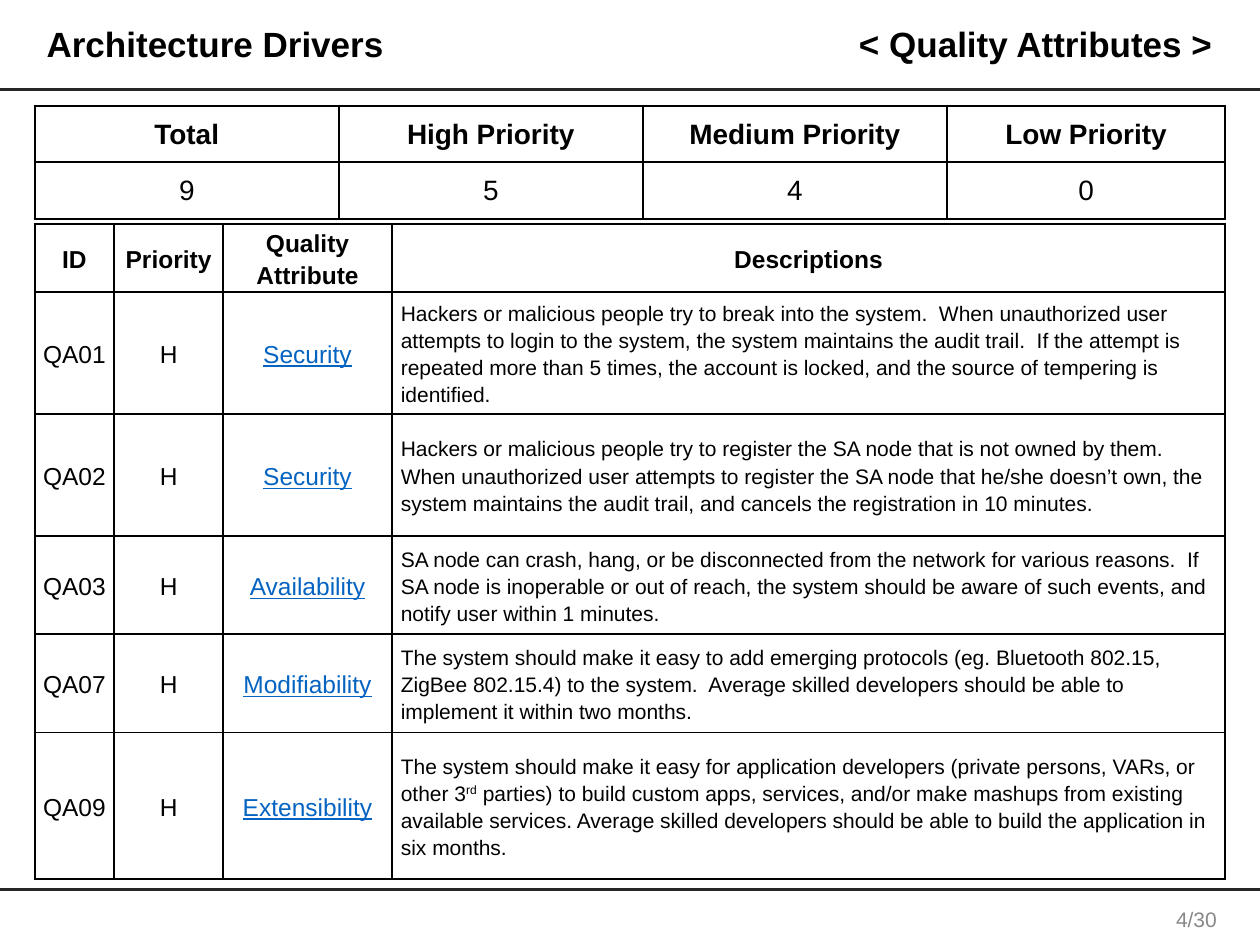
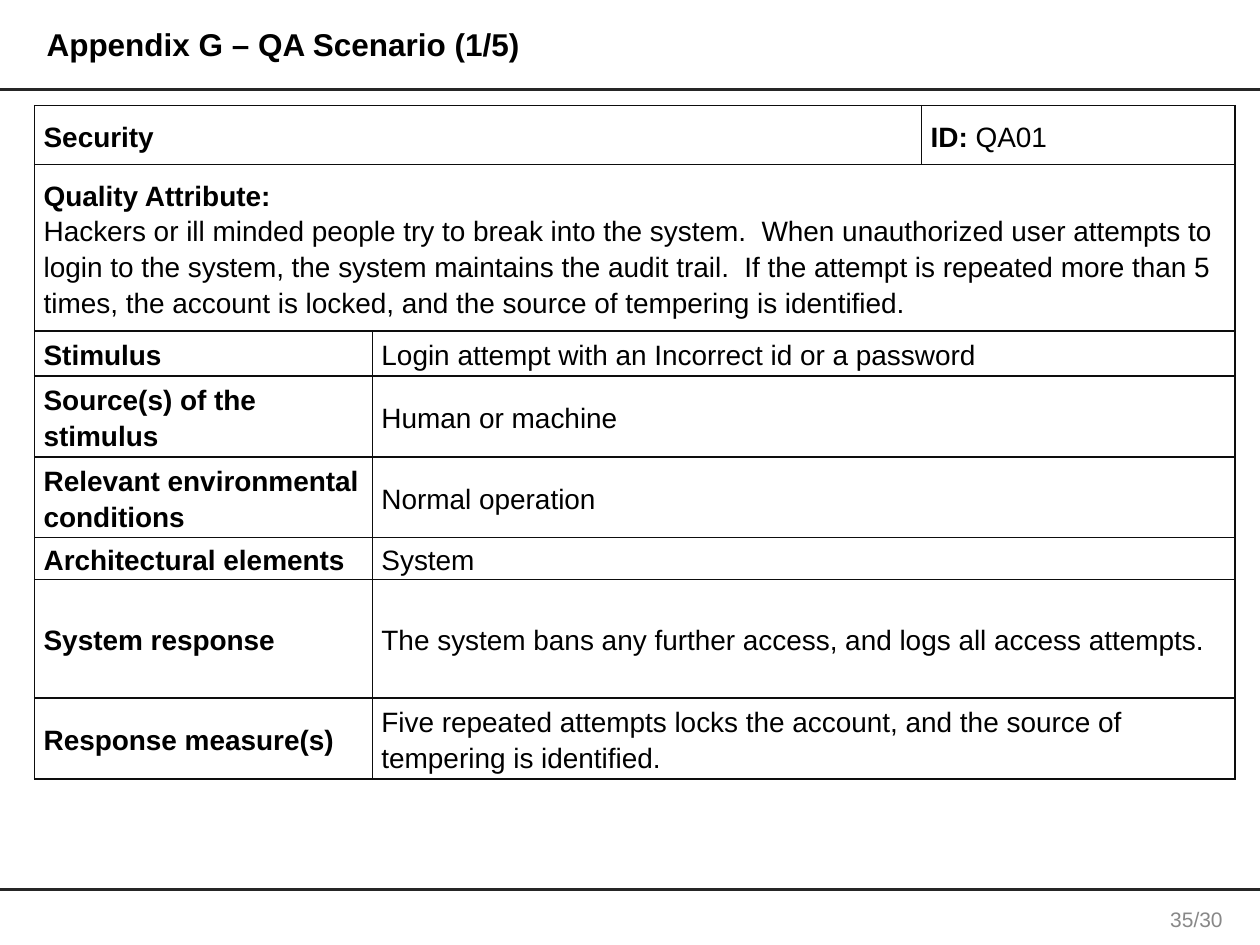
from lxml.etree import SubElement
from pptx import Presentation
from pptx.dml.color import RGBColor
from pptx.enum.shapes import MSO_CONNECTOR as Connector
from pptx.enum.text import MSO_ANCHOR as Anchor, PP_ALIGN as Align
from pptx.oxml.ns import qn
from pptx.util import Cm, Pt

BLACK = RGBColor(0x00, 0x00, 0x00)
WHITE = RGBColor(0xFF, 0xFF, 0xFF)
RULE_GREY = RGBColor(0x26, 0x26, 0x26)
PAGE_GREY = RGBColor(0x88, 0x88, 0x88)
LINK_BLUE = RGBColor(0x05, 0x63, 0xC1)
SCENARIO_BORDER = RGBColor(0x0D, 0x0D, 0x0D)
FONT = "Arial"

SLIDE_WIDTH, SLIDE_HEIGHT = 25.4, 19.05
RULE_TOPS = (1.8, 17.93)
TABLE_LEFT, TABLE_TOP = 0.7, 2.13
DRIVERS_TOP = 4.52
LINE_SPACING = 1.15

DRIVERS_TITLE = "Architecture Drivers"
DRIVERS_SUBTITLE = "< Quality Attributes >"
SUMMARY = [("Total", "High Priority", "Medium Priority", "Low Priority"), ("9", "5", "4", "0")]
SUMMARY_COLUMNS = (6.13, 6.13, 6.13, 5.61)
SUMMARY_ROWS = (1.08, 1.08)

DRIVER_HEADINGS = ("ID", "Priority", "Quality Attribute", "Descriptions")
DRIVERS = [
    ("QA01", "H", "Security",
     "Hackers or malicious people try to break into the system.  When unauthorized user attempts "
     "to login to the system, the system maintains the audit trail.  If the attempt is repeated "
     "more than 5 times, the account is locked, and the source of tempering is identified."),
    ("QA02", "H", "Security",
     "Hackers or malicious people try to register the SA node that is not owned by them.  When "
     "unauthorized user attempts to register the SA node that he/she doesn’t own, the system "
     "maintains the audit trail, and cancels the registration in 10 minutes."),
    ("QA03", "H", "Availability",
     "SA node can crash, hang, or be disconnected from the network for various reasons.  If SA "
     "node is inoperable or out of reach, the system should be aware of such events, and notify "
     "user within 1 minutes."),
    ("QA07", "H", "Modifiability",
     "The system should make it easy to add emerging protocols (eg. Bluetooth 802.15, ZigBee "
     "802.15.4) to the system.  Average skilled developers should be able to implement it within "
     "two months."),
    ("QA09", "H", "Extensibility",
     ("The system should make it easy for application developers (private persons, VARs, or "
      "other 3", "rd",
      " parties) to build custom apps, services, and/or make mashups from existing available "
      "services. Average skilled developers should be able to build the application in six "
      "months.")),
]
DRIVER_COLUMNS = (1.6, 2.2, 3.4, 16.8)
DRIVER_ROWS = (1.28, 2.46, 2.46, 1.98, 1.98, 2.95)

SCENARIO_TITLE = "Appendix G – QA Scenario (1/5)"
SCENARIO_NAME = "Security"
SCENARIO_ID = ("ID:", " QA01")
ATTRIBUTE_HEADING = "Quality Attribute:"
ATTRIBUTE_TEXT = (
    "Hackers or ill minded people try to break into the system.  When unauthorized user attempts "
    "to login to the system, the system maintains the audit trail.  If the attempt is repeated "
    "more than 5 times, the account is locked, and the source of tempering is identified.")
SCENARIO_PARTS = [
    ("Stimulus", "Login attempt with an Incorrect id or a password"),
    ("Source(s) of the stimulus", "Human or machine"),
    ("Relevant environmental conditions", "Normal operation"),
    ("Architectural elements", "System"),
    ("System response", "The system bans any further access, and logs all access attempts."),
    ("Response measure(s)",
     "Five repeated attempts locks the account, and the source of tempering is identified."),
]
SCENARIO_COLUMNS = (6.81, 11.07, 6.32)
SCENARIO_ROWS = (1.19, 3.35, 0.91, 1.63, 1.63, 0.84, 2.39, 1.63)


def format_paragraph(paragraph, size, color=BLACK, bold=False, align=Align.LEFT,
                     spacing=LINE_SPACING, underline=False):
    paragraph.alignment = align
    paragraph.line_spacing = spacing
    for run in paragraph.runs:
        font = run.font
        font.name, font.size, font.bold = FONT, Pt(size), bold
        font.color.rgb = color
        if underline:
            font.underline = True


def add_text(slide, text, left, top, width, height, size, spacing=1.0, **style):
    frame = slide.shapes.add_textbox(Cm(left), Cm(top), Cm(width), Cm(height)).text_frame
    frame.word_wrap = True
    frame.vertical_anchor = Anchor.MIDDLE
    frame.text = text
    format_paragraph(frame.paragraphs[0], size, spacing=spacing, **style)


def add_title(slide, text, left, width, size, align=Align.LEFT):
    add_text(slide, text, left, 0.25, width, 1.35, size, spacing=0.9, bold=True, align=align)


def add_page(presentation, page_number):
    slide = presentation.slides.add_slide(presentation.slide_layouts[6])
    for top in RULE_TOPS:
        rule = slide.shapes.add_connector(
            Connector.STRAIGHT, Cm(0), Cm(top), Cm(SLIDE_WIDTH), Cm(top))
        rule.line.color.rgb = RULE_GREY
        rule.line.width = Pt(1.75)
        SubElement(rule._element.spPr, qn("a:effectLst"))
    add_text(slide, page_number, 23.14, 18.14, 1.96, 0.79, 12, color=PAGE_GREY,
             align=Align.CENTER)
    return slide


def set_borders(cell, color, widths):
    properties = cell._tc.get_or_add_tcPr()
    for side, width in zip("LRTB", widths):
        line = SubElement(properties, qn(f"a:ln{side}"), w=str(Pt(width)))
        fill = SubElement(line, qn("a:solidFill"))
        SubElement(fill, qn("a:srgbClr"), val=str(color))


def add_grid(slide, top, columns, rows, border_color=BLACK, outer_width=1.0):
    table = slide.shapes.add_table(len(rows), len(columns), Cm(TABLE_LEFT), Cm(top),
                                   Cm(sum(columns)), Cm(sum(rows))).table
    table.first_row = table.horz_banding = False
    for column, width in zip(table.columns, columns):
        column.width = Cm(width)
    for row, height in zip(table.rows, rows):
        row.height = Cm(height)
    last_row, last_column = len(rows) - 1, len(columns) - 1
    for r in range(len(rows)):
        for c in range(len(columns)):
            cell = table.cell(r, c)
            on_edge = (c == 0, c == last_column, r == 0, r == last_row)
            set_borders(cell, border_color, [outer_width if edge else 1.0 for edge in on_edge])
            cell.fill.solid()
            cell.fill.fore_color.rgb = WHITE
    return table


def fill_cell(cell, text, size, side_inset=0.18, end_inset=0, anchor=Anchor.MIDDLE, **style):
    cell.margin_left = cell.margin_right = Cm(side_inset)
    cell.margin_top = cell.margin_bottom = Cm(end_inset)
    cell.vertical_anchor = anchor
    pieces = (text,) if isinstance(text, str) else text
    cell.text_frame.text = pieces[0]
    paragraph = cell.text_frame.paragraphs[0]
    for piece in pieces[1:]:
        paragraph.add_run().text = piece
    format_paragraph(paragraph, size, **style)
    return paragraph


def build_drivers(presentation):
    slide = add_page(presentation, "4/30")
    add_title(slide, DRIVERS_TITLE, 0.69, 15.7, 20)
    add_title(slide, DRIVERS_SUBTITLE, 16.74, 7.95, 20, Align.RIGHT)

    summary = add_grid(slide, TABLE_TOP, SUMMARY_COLUMNS, SUMMARY_ROWS, outer_width=1.5)
    for r, values in enumerate(SUMMARY):
        for c, value in enumerate(values):
            fill_cell(summary.cell(r, c), value, 16, end_inset=0.18, anchor=Anchor.TOP,
                      bold=r == 0, align=Align.CENTER)

    drivers = add_grid(slide, DRIVERS_TOP, DRIVER_COLUMNS, DRIVER_ROWS, outer_width=1.5)
    for c, heading in enumerate(DRIVER_HEADINGS):
        fill_cell(drivers.cell(0, c), heading, 14, 0.1, bold=True, align=Align.CENTER)
    for r, (driver_id, priority, attribute, description) in enumerate(DRIVERS, 1):
        for c, value in enumerate((driver_id, priority)):
            fill_cell(drivers.cell(r, c), value, 14, 0.08, align=Align.CENTER)
        fill_cell(drivers.cell(r, 2), attribute, 14, 0.08, align=Align.CENTER,
                  color=LINK_BLUE, underline=True)
        paragraph = fill_cell(drivers.cell(r, 3), description, 12)
        for ordinal in paragraph.runs[1:2]:
            ordinal._r.get_or_add_rPr().set("baseline", "30000")


def build_scenario(presentation):
    slide = add_page(presentation, "35/30")
    add_title(slide, SCENARIO_TITLE, 0.69, 24.2, 18)

    table = add_grid(slide, TABLE_TOP, SCENARIO_COLUMNS, SCENARIO_ROWS, SCENARIO_BORDER)
    table.cell(0, 0).merge(table.cell(0, 1))
    fill_cell(table.cell(0, 0), SCENARIO_NAME, 16, bold=True)
    identifier = fill_cell(table.cell(0, 2), SCENARIO_ID, 16)
    identifier.runs[0].font.bold = True

    attribute = table.cell(1, 0)
    attribute.merge(table.cell(1, 2))
    fill_cell(attribute, ATTRIBUTE_HEADING, 16, bold=True)
    paragraph = attribute.text_frame.add_paragraph()
    paragraph.text = ATTRIBUTE_TEXT
    format_paragraph(paragraph, 16)

    for r, (label, value) in enumerate(SCENARIO_PARTS, 2):
        table.cell(r, 1).merge(table.cell(r, 2))
        fill_cell(table.cell(r, 0), label, 16, bold=True)
        fill_cell(table.cell(r, 1), value, 16)


def main():
    presentation = Presentation()
    presentation.slide_width, presentation.slide_height = Cm(SLIDE_WIDTH), Cm(SLIDE_HEIGHT)
    build_drivers(presentation)
    build_scenario(presentation)
    presentation.save("out.pptx")


if __name__ == "__main__":
    main()
